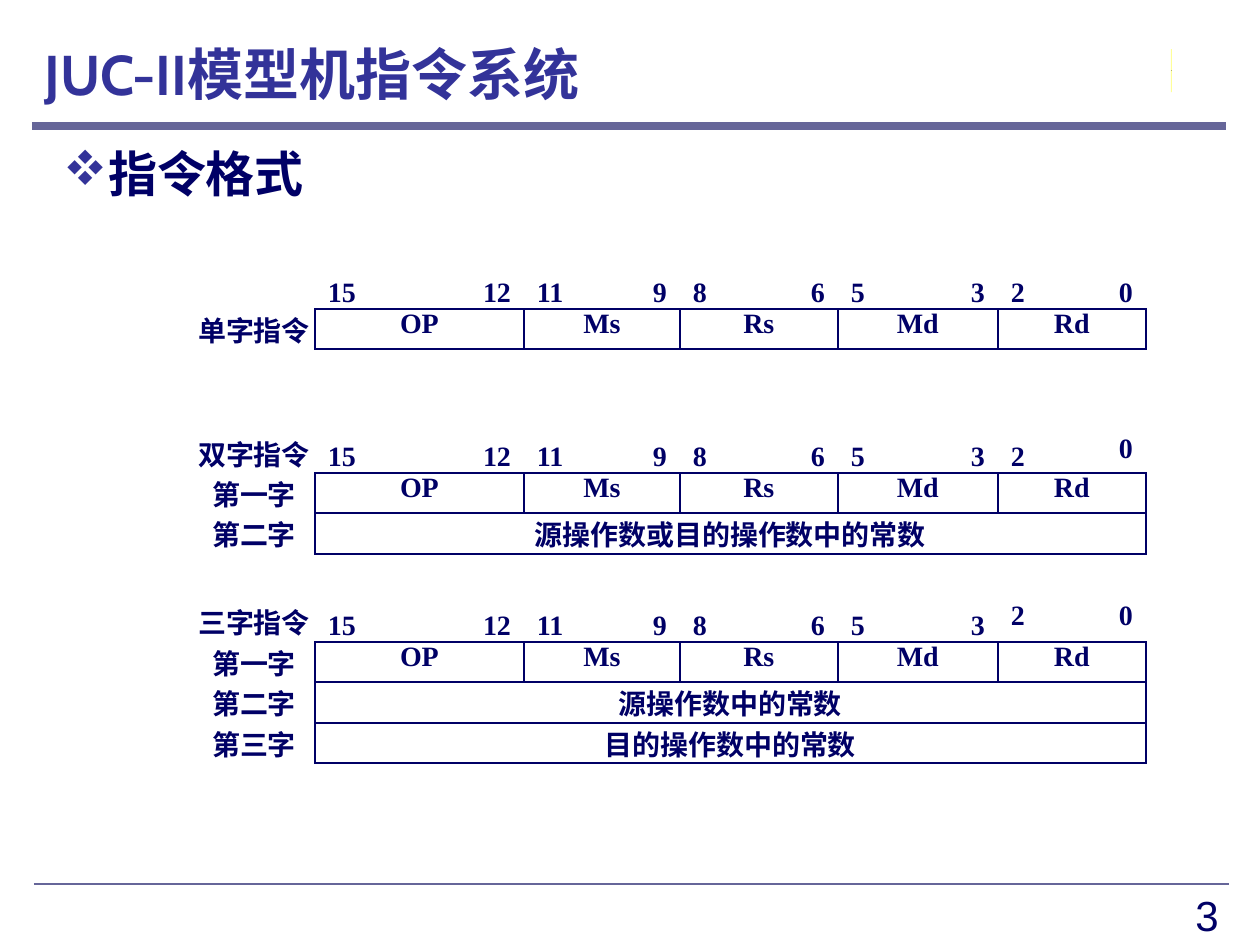
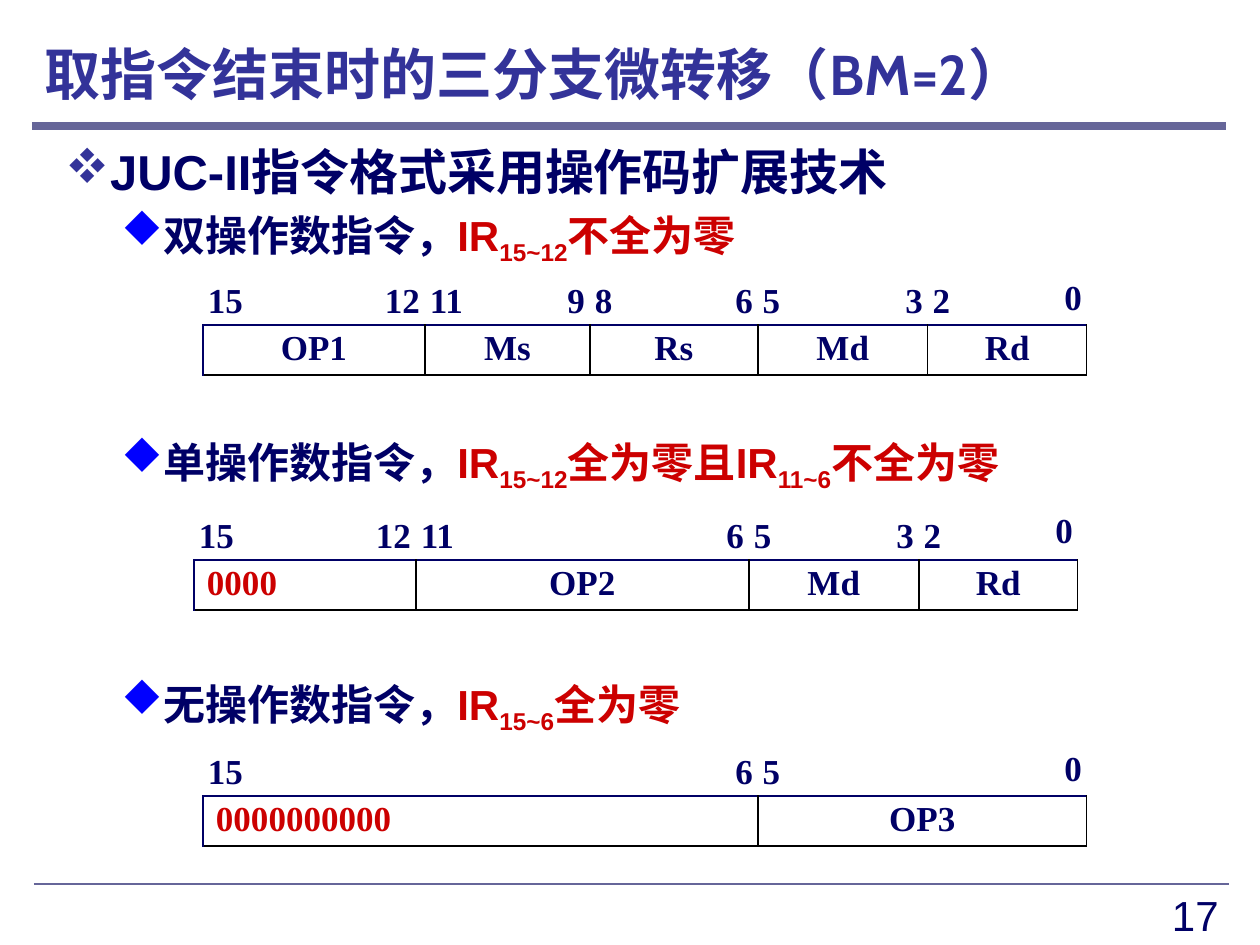
from lxml.etree import SubElement
from pptx import Presentation
from pptx.dml.color import RGBColor
from pptx.enum.shapes import MSO_CONNECTOR, MSO_SHAPE
from pptx.enum.text import MSO_ANCHOR as ANCHOR, MSO_AUTO_SIZE, PP_ALIGN as ALIGN
from pptx.oxml.ns import qn
from pptx.util import Emu, Pt

PX_PER_INCH = 126
NAVY, INDIGO, SLATE = "000066", "333399", "666699"
RED, BLUE, BLACK, CREAM = "CC0000", "0000FF", "000000", "FFFF99"
BODY_FONT, TITLE_FONT, TABLE_FONT = "Arial", "Cabin", "Times New Roman"
# Wingdings draws these letters as a four-part diamond and a solid diamond
BULLET_FONT, FOUR_DIAMONDS, DIAMOND = "Wingdings", "v", "u"
NO_STYLE_NO_GRID = "{2D5ABB26-0587-4C30-8999-92F81FD0307C}"
EMPTY_CELL_SIZE = 10

# Column widths: the row label, then two columns for each of five fields
FORMAT_COLUMNS = [122, 105, 104, 66, 90, 67, 91, 70, 90, 65, 83]
OPCODE_COLUMNS = [169, 111, 111, 71, 94, 72, 96, 75, 95, 69, 90]

# Fields: high bit, low bit, name, number of columns
ADDRESS_FIELDS = [(11, 9, "Ms", 2), (8, 6, "Rs", 2), (5, 3, "Md", 2), (2, 0, "Rd", 2)]
FORMAT_FIELDS = [(15, 12, "OP", 2)] + ADDRESS_FIELDS
TWO_OPERAND_FIELDS = [(15, 12, "OP1", 2)] + ADDRESS_FIELDS
ONE_OPERAND_FIELDS = [(15, 12, "0000", 2), (11, 6, "OP2", 4)] + ADDRESS_FIELDS[2:]
NO_OPERAND_FIELDS = [(15, 6, "0000000000", 6), (5, 0, "OP3", 4)]


def px(length):
    return Emu(round(length * 914400 / PX_PER_INCH))


def rgb(value):
    return RGBColor.from_string(value)


def format_run(run, size, color, font_name, bold=True):
    run.font.size = Pt(size)
    run.font.name = font_name
    run.font.bold = bold
    run.font.color.rgb = rgb(color)


def add_rule(slide, left, right, y, weight):
    rule = slide.shapes.add_connector(
        MSO_CONNECTOR.STRAIGHT, px(left), px(y), px(right), px(y))
    rule.line.color.rgb = rgb(SLATE)
    rule.line.width = Pt(weight)
    SubElement(rule._element.spPr, qn("a:effectLst"))


def add_text_box(slide, left, top, width, height):
    frame = slide.shapes.add_textbox(px(left), px(top), px(width), px(height)).text_frame
    frame.word_wrap = True
    return frame


def add_framed_slide(deck, title, number):
    """Add a slide with its title, the two rules and the page number."""
    slide = deck.slides.add_slide(deck.slide_layouts[5])
    heading = slide.shapes.title
    heading.left, heading.top = px(32), px(31)
    heading.width, heading.height = px(1194), px(84)
    frame = heading.text_frame
    frame.text = title
    frame.auto_size = MSO_AUTO_SIZE.NONE
    frame.vertical_anchor = ANCHOR.MIDDLE
    frame.paragraphs[0].alignment = ALIGN.LEFT
    format_run(frame.paragraphs[0].runs[0], 32, INDIGO, TITLE_FONT)

    add_rule(slide, 32, 1226, 126, 4.5)
    add_rule(slide, 34, 1229, 884, 1.5)

    page = add_text_box(slide, 937, 883, 294, 55)
    page.text = str(number)
    page.paragraphs[0].alignment = ALIGN.RIGHT
    format_run(page.paragraphs[0].runs[0], 24, NAVY, BODY_FONT, bold=False)
    return slide


def add_bullet_line(slide, left, top, parts, size, bullet, bullet_color, indent, hang):
    """Add one bulleted line; parts holds (text, color, baseline percent)."""
    paragraph = add_text_box(slide, left, top, 1194, 70).paragraphs[0]
    paragraph.line_spacing = 0.9
    properties = paragraph._p.get_or_add_pPr()
    properties.set("marL", str(px(indent)))
    properties.set("indent", str(-px(hang)))
    tint = SubElement(properties, qn("a:buClr"))
    SubElement(tint, qn("a:srgbClr"), val=bullet_color)
    SubElement(properties, qn("a:buFont"), typeface=BULLET_FONT,
               pitchFamily="2", charset="2")
    SubElement(properties, qn("a:buChar"), char=bullet)
    for text, color, baseline in parts:
        run = paragraph.add_run()
        run.text = text
        format_run(run, size, color, BODY_FONT)
        if baseline:
            run.font._element.set("baseline", str(baseline * 1000))


def add_topic(slide, left, top, text):
    add_bullet_line(slide, left, top, [(text, NAVY, 0)], 28,
                    FOUR_DIAMONDS, INDIGO, 60, 41)


def add_case(slide, top, kind, *condition):
    """Add a second-level line; the condition alternates text and subscript."""
    parts = [(kind, NAVY, 0)]
    parts += [(text, RED, -25 if i % 2 else 0) for i, text in enumerate(condition)]
    add_bullet_line(slide, 34, top, parts, 24, DIAMOND, BLUE, 105, 30)


def fill_cell(cell, text, size, align=ALIGN.CENTER, anchor=ANCHOR.TOP,
              side=0, edge=0, color=NAVY):
    cell.margin_left = cell.margin_right = px(side)
    cell.margin_top = cell.margin_bottom = px(edge)
    cell.vertical_anchor = anchor
    paragraph = cell.text_frame.paragraphs[0]
    paragraph.alignment = align
    if text:
        paragraph.text = text
        format_run(paragraph.runs[0], size, color, TABLE_FONT)
    else:
        SubElement(paragraph._p, qn("a:endParaRPr"), sz=str(EMPTY_CELL_SIZE * 100))


def set_borders(cell, **colors):
    """Draw 1 pt borders on the sides named L, R, T and B."""
    properties = cell._tc.get_or_add_tcPr()
    sides = [side for side in "LRTB" if side in colors]
    for position, side in enumerate(sides):
        line = SubElement(properties, qn(f"a:ln{side}"), w=str(Pt(1)))
        solid = SubElement(line, qn("a:solidFill"))
        SubElement(solid, qn("a:srgbClr"), val=colors[side])
        properties.insert(position, line)


def add_field_cell(table, row, first, span, text, size, rule_color, **layout):
    """Merge a bordered field over span columns and write its name."""
    cells = [table.cell(row, first + i) for i in range(span)]
    left_color = NAVY if first == 1 else rule_color
    for cell in cells:
        set_borders(cell, L=left_color, R=rule_color, T=NAVY, B=rule_color)
    cells[0].merge(cells[-1])
    fill_cell(cells[0], text, size, **layout)


def add_instruction_table(slide, left, top, columns, heights, fields, size,
                          labels=(), constants=(), raised_bits=(),
                          bit_side=13, edge=0, rule_color=NAVY):
    """Draw bit numbers, the field row and one full-width row per constant."""
    table = slide.shapes.add_table(
        len(heights), len(columns), px(left), px(top),
        px(sum(columns)), px(sum(heights))).table
    table.first_row = table.horz_banding = False
    table._tbl.tblPr.find(qn("a:tableStyleId")).text = NO_STYLE_NO_GRID
    for column, width in zip(table.columns, columns):
        column.width = px(width)
    for row, height in zip(table.rows, heights):
        row.height = px(height)
    for cell in table.iter_cells():
        cell.fill.background()

    bits = {}
    first = 1
    for high, low, name, span in fields:
        bits[first] = (high, ALIGN.LEFT)
        bits[first + span - 1] = (low, ALIGN.RIGHT)
        fixed = name.startswith("0")
        add_field_cell(table, 1, first, span, name, size, rule_color,
                       align=ALIGN.LEFT if fixed else ALIGN.CENTER,
                       side=13 if fixed else edge, edge=edge,
                       color=RED if fixed else NAVY)
        first += span
    for row, constant in enumerate(constants, start=2):
        add_field_cell(table, row, 1, len(columns) - 1, constant, size, rule_color)

    for row in range(len(heights)):
        label_cell = table.cell(row, 0)
        fill_cell(label_cell, labels[row] if labels else "", size,
                  anchor=ANCHOR.TOP if row else ANCHOR.BOTTOM)
        if row:
            set_borders(label_cell, R=NAVY)
        for column in range(1, len(columns)):
            cell = table.cell(row, column)
            if row == 0 and column in bits:
                bit, align = bits[column]
                anchor = ANCHOR.TOP if bit in raised_bits else ANCHOR.BOTTOM
                fill_cell(cell, str(bit), size, align, anchor, bit_side, edge)
            elif row == 0 or cell.is_spanned:
                fill_cell(cell, "", size)


def add_format_table(slide, top, heights, labels, **options):
    add_instruction_table(slide, 193, top, FORMAT_COLUMNS, heights, FORMAT_FIELDS,
                          16, labels=labels, **options)


def add_opcode_table(slide, left, top, heights, fields):
    add_instruction_table(slide, left, top, OPCODE_COLUMNS, heights, fields, 20,
                          raised_bits=(0,), bit_side=5, edge=4, rule_color=BLACK)


def add_return_button(slide):
    button = slide.shapes.add_shape(
        MSO_SHAPE.ACTION_BUTTON_RETURN, px(1171), px(49), px(1), px(43))
    button.shadow.inherit = False
    button.fill.solid()
    button.fill.fore_color.rgb = rgb(CREAM)
    button.line.fill.background()


def build_format_slide(deck):
    slide = add_framed_slide(deck, "JUC-II模型机指令系统", 3)
    add_topic(slide, 32, 144, "指令格式")
    add_format_table(slide, 601, [41, 40, 41, 40],
                     ["三字指令", "第一字", "第二字", "第三字"],
                     constants=["源操作数中的常数", "目的操作数中的常数"],
                     raised_bits=(2, 0))
    add_format_table(slide, 433, [40, 40, 41], ["双字指令", "第一字", "第二字"],
                     constants=["源操作数或目的操作数中的常数"], raised_bits=(0,))
    add_format_table(slide, 265, [44, 40], ["", "单字指令"])
    add_return_button(slide)


def build_opcode_slide(deck):
    slide = add_framed_slide(deck, "取指令结束时的三分支微转移（BM=2）", 17)
    add_topic(slide, 34, 142, "JUC-II指令格式采用操作码扩展技术")
    add_case(slide, 204, "双操作数指令，", "IR", "15~12", "不全为零")
    add_case(slide, 431, "单操作数指令，", "IR", "15~12", "全为零且IR", "11~6", "不全为零")
    add_case(slide, 673, "无操作数指令，", "IR", "15~6", "全为零")
    add_opcode_table(slide, 34, 275, [48, 49], TWO_OPERAND_FIELDS)
    add_opcode_table(slide, 25, 508, [52, 49], ONE_OPERAND_FIELDS)
    add_opcode_table(slide, 34, 746, [49, 49], NO_OPERAND_FIELDS)


def main():
    deck = Presentation()
    deck.slide_width, deck.slide_height = px(1260), px(945)
    build_format_slide(deck)
    build_opcode_slide(deck)
    deck.save("out.pptx")


if __name__ == "__main__":
    main()
